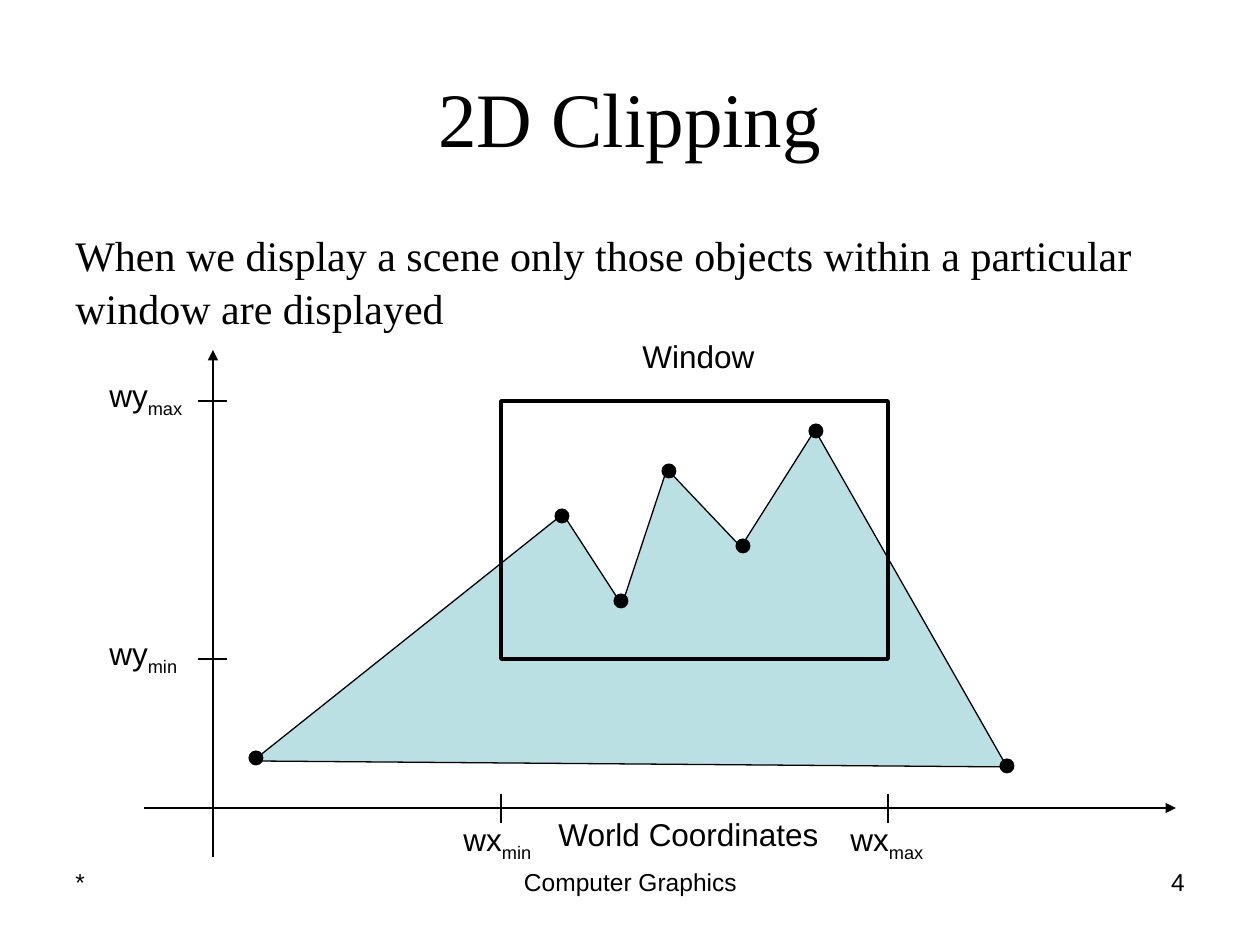
from lxml.etree import SubElement
from pptx import Presentation
from pptx.dml.color import RGBColor
from pptx.enum.shapes import MSO_CONNECTOR as Connector, MSO_SHAPE as Shape
from pptx.enum.text import MSO_ANCHOR as Anchor, PP_ALIGN as Align
from pptx.oxml.ns import qn
from pptx.util import Pt

PX = 914400 / 126  # EMU per pixel
BLACK = RGBColor(0x00, 0x00, 0x00)
PALE_TEAL = RGBColor(0xBB, 0xE0, 0xE3)

# Clipping window and axes
LEFT, TOP, RIGHT, BOTTOM = 501, 401, 888, 659
AXIS_X, AXIS_Y = 213, 808
TICK = 29
DOT = 15

MOUNTAIN = [(253, 761), (563, 514), (622, 605), (667, 469),
            (741, 547), (815, 430), (1007, 767)]
VERTICES = [(256, 758), (562, 516), (621, 601), (669, 471),
            (743, 546), (816, 431), (1007, 766)]


def px(*values):
    return [round(value * PX) for value in values]


def write(frame, text, subscript="", font="Arial", size=18,
          align=Align.LEFT, anchor=Anchor.TOP, spacing=None, wrap=True):
    frame.word_wrap = wrap
    frame.vertical_anchor = anchor
    paragraph = frame.paragraphs[0]
    paragraph.alignment = align
    paragraph.line_spacing = spacing
    for part in filter(None, (text, subscript)):
        run = paragraph.add_run()
        run.text = part
        run.font.name = font
        run.font.size = Pt(size)
        run.font.color.rgb = BLACK
    if subscript:
        run._r.get_or_add_rPr().set("baseline", "-25000")


def add_text(slide, box, text, **style):
    write(slide.shapes.add_textbox(*px(*box)).text_frame, text, **style)


def style_shape(shape, fill=None, line_width=None):
    shape.shadow.inherit = False
    if fill is None:
        shape.fill.background()
    else:
        shape.fill.solid()
        shape.fill.fore_color.rgb = fill
    if line_width is None:
        shape.line.fill.background()
    else:
        shape.line.color.rgb = BLACK
        shape.line.width = Pt(line_width)


def add_line(slide, start, end, arrow=False):
    line = slide.shapes.add_connector(Connector.STRAIGHT, *px(*start, *end))
    line.line.color.rgb = BLACK
    line.line.width = Pt(0.75)
    if arrow:
        SubElement(line.line._get_or_add_ln(), qn("a:tailEnd"), type="triangle")
    SubElement(line._element.spPr, qn("a:effectLst"))


def add_polygon(slide, points):
    start, *rest = [px(*point) for point in points]
    builder = slide.shapes.build_freeform(*start)
    builder.add_line_segments(rest, close=True)
    style_shape(builder.convert_to_shape(), PALE_TEAL, 0.75)


def add_dot(slide, x, y):
    box = px(x - DOT / 2, y - DOT / 2, DOT, DOT)
    style_shape(slide.shapes.add_shape(Shape.OVAL, *box), BLACK)


def add_title(slide, text):
    title = slide.shapes.title
    title.left, title.top, title.width, title.height = px(63, 38, 1134, 157)
    write(title.text_frame, text, font="Times New Roman", size=44,
          align=Align.CENTER, anchor=Anchor.MIDDLE)


def add_axes(slide):
    add_line(slide, (144, AXIS_Y), (1176, AXIS_Y), arrow=True)
    add_line(slide, (AXIS_X, 857), (AXIS_X, 350), arrow=True)
    for y, limit in ((TOP, "max"), (BOTTOM, "min")):
        add_line(slide, (227, y), (227 - TICK, y))
        add_text(slide, (97, y - 31, 103, 50), "wy", subscript=limit, wrap=False)
    for x, limit in ((LEFT, "min"), (RIGHT, "max")):
        add_line(slide, (x, 794), (x, 794 + TICK))
        add_text(slide, (x - 50, 814, 103, 50), "wx", subscript=limit, wrap=False)


def main():
    deck = Presentation()
    deck.slide_width, deck.slide_height = px(1260, 945)
    slide = deck.slides.add_slide(deck.slide_layouts[5])

    # Heading and statement
    add_title(slide, "2D Clipping")
    add_text(slide, (63, 221, 1134, 149),
             "When we display a scene only those objects within a particular "
             "window are displayed",
             font="Times New Roman", size=24, spacing=1.05)

    # Scene in world coordinates, with the window over it
    add_polygon(slide, MOUNTAIN)
    add_axes(slide)
    window = slide.shapes.add_shape(
        Shape.RECTANGLE, *px(LEFT, TOP, RIGHT - LEFT, BOTTOM - TOP))
    style_shape(window, line_width=2.25)
    for x, y in VERTICES:
        add_dot(slide, x, y)
    add_text(slide, (630, 331, 137, 50), "Window", wrap=False)
    add_text(slide, (546, 809, 286, 50), "World Coordinates", wrap=False)

    # Footer
    for left, width, text, align in (
            (63, 294, "*", Align.LEFT),
            (431, 399, "Computer Graphics", Align.CENTER),
            (903, 294, "4", Align.RIGHT)):
        add_text(slide, (left, 861, width, 66), text, size=14, align=align)

    deck.save("out.pptx")


if __name__ == "__main__":
    main()
